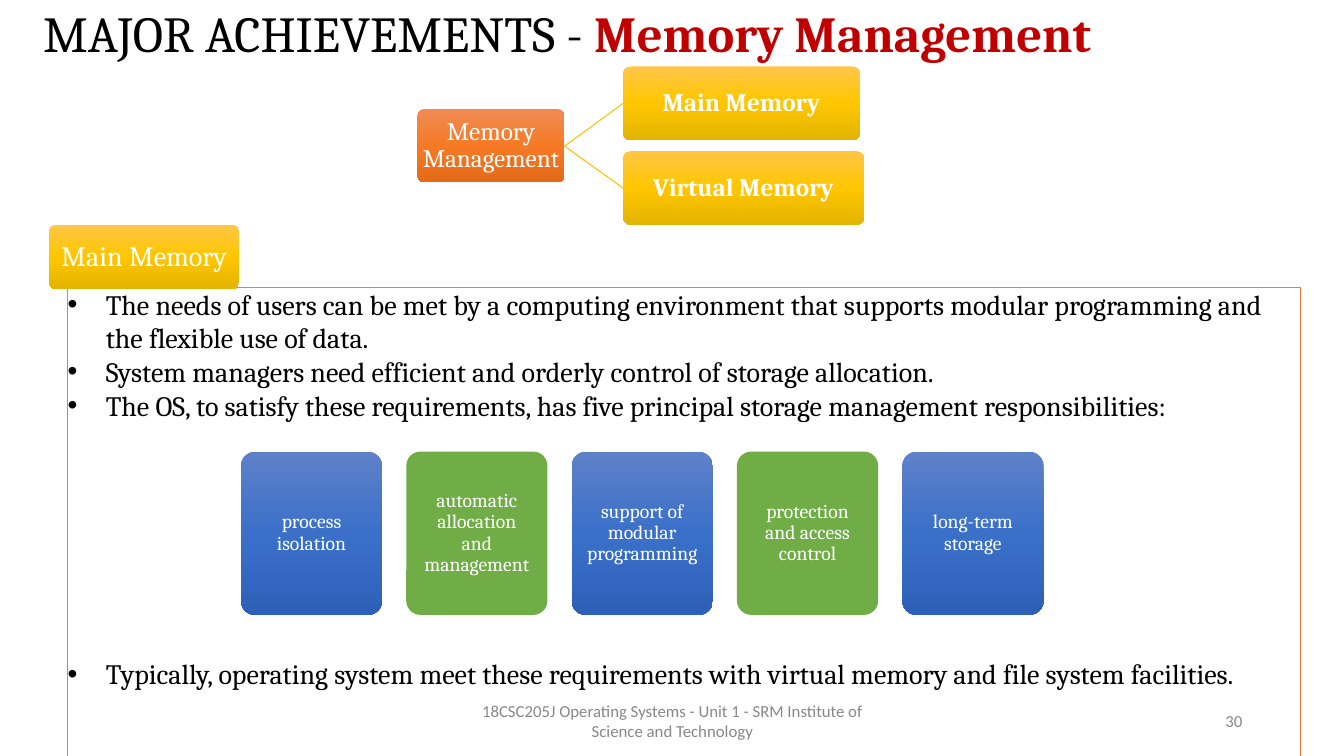
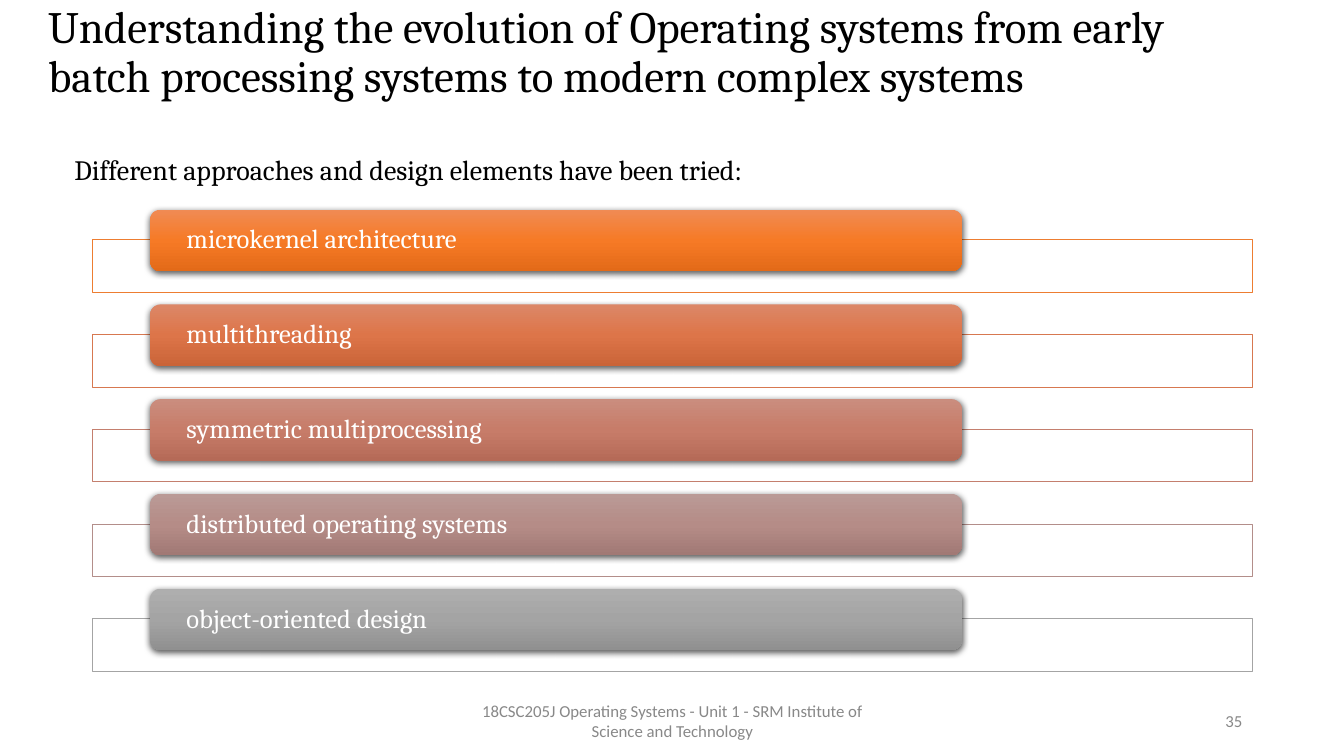
"""Builds two operating-systems slides: memory management and system evolution."""
from copy import deepcopy

from pptx import Presentation
from pptx.dml.color import RGBColor
from pptx.enum.shapes import MSO_CONNECTOR, MSO_SHAPE
from pptx.enum.text import MSO_ANCHOR as ANCHOR, PP_ALIGN as ALIGN
from pptx.oxml import parse_xml
from pptx.oxml.ns import nsdecls, qn
from pptx.util import Inches, Pt

COLORS = {"text": "000000", "white": "FFFFFF", "red": "C00000", "footer": "888888",
          "orange": "ED7D31", "gold": "FFC000", "green": "70AD47"}
GRADIENTS = {"orange": ("F08B54", "F67A26", "E36A18"),
             "gold": ("FFC647", "FFC600", "E3B400"),
             "blue": ("5E81C9", "3B70C9", "2E60B8")}
FOOTER = "18CSC205J Operating Systems - Unit 1 - SRM Institute of Science and Technology"
NEEDS = ["The needs of users can be met by a computing environment that supports "
         "modular programming and the flexible use of data.",
         "System managers need efficient and orderly control of storage allocation.",
         "The OS, to satisfy these requirements, has five principal storage "
         "management responsibilities:",
         "Typically, operating system meet these requirements with virtual memory "
         "and file system facilities."]
DUTIES = ["process isolation", "automatic allocation and management",
          "support of modular programming", "protection and access control",
          "long-term storage"]
APPROACHES = [("microkernel architecture", "ED7D31", GRADIENTS["orange"]),
              ("multithreading", "D77850", ("DC8767", "DD7549", "CA6438")),
              ("symmetric multiprocessing", "C47F6E", ("CA8D7E", "C77C69", "B56A57")),
              ("distributed operating systems", "B38E8A", ("BA9A96", "B58C87", "A17975")),
              ("object-oriented design", "A4A4A4", ("AEAEAE", "A4A4A4", "909090"))]


def rgb(color):
    """Turn a hex string into a colour."""
    return RGBColor.from_string(color)


def style_font(font, size, color, name="Cambria", bold=False):
    """Set the look of a font."""
    font.name, font.size, font.bold = name, Pt(size), bold
    font.color.rgb = rgb(color)


def set_frame(s, insets, anchor=ANCHOR.MIDDLE):
    """Wrap, anchor and inset the text frame of a shape."""
    tf = s.text_frame
    tf.word_wrap, tf.vertical_anchor = True, anchor
    tf.margin_left = tf.margin_right = Inches(insets[0])
    tf.margin_top = tf.margin_bottom = Inches(insets[1])
    return tf


def add_text(slide, box, runs, size, color=COLORS["text"], name="Cambria",
             align=ALIGN.LEFT, spacing=1.0, anchor=ANCHOR.MIDDLE):
    """Add a one-paragraph text box from (text, colour, bold) runs or a string."""
    s = slide.shapes.add_textbox(*map(Inches, box))
    p = set_frame(s, (0.1, 0.05), anchor).paragraphs[0]
    p.alignment, p.line_spacing = align, spacing
    for text, run_color, bold in [(runs, color, False)] if isinstance(runs, str) else runs:
        r = p.add_run()
        r.text = text
        style_font(r.font, size, run_color, name, bold)


def add_title(slide, box, runs, size):
    """Add the slide title."""
    add_text(slide, box, runs, size, spacing=0.9)


def add_footer(slide, number):
    """Add the course line and the slide number."""
    for left, width, text, align in ((4.42, 4.5, FOOTER, ALIGN.CENTER),
                                     (9.42, 3, str(number), ALIGN.RIGHT)):
        add_text(slide, (left, 6.95, width, 0.4), text, 12, COLORS["footer"],
                 "Calibri", align)


def add_frame(slide, box, line, width):
    """Add a white rectangle with a coloured outline."""
    s = slide.shapes.add_shape(MSO_SHAPE.RECTANGLE, *map(Inches, box))
    s.shadow.inherit = False
    s.fill.solid()
    s.fill.fore_color.rgb = rgb(COLORS["white"])
    s.line.color.rgb, s.line.width = rgb(line), Pt(width)
    return s


def fill_shape(s, fill):
    """Fill with one hex colour or a vertical gradient of three."""
    if isinstance(fill, str):
        s.fill.solid()
        s.fill.fore_color.rgb = rgb(fill)
        return
    s.fill.gradient()
    s.fill.gradient_angle = 270
    stops = s._element.spPr.find(".//" + qn("a:gsLst"))
    stops.append(deepcopy(stops[0]))
    for i, (stop, color) in enumerate(zip(s.fill.gradient_stops, fill)):
        stop.position = i / 2
        stop.color.rgb = rgb(color)


def add_card(slide, box, text, fill, size, bold=False, align=ALIGN.CENTER,
             insets=(0.02, 0.02), radius=0.1):
    """Add a filled rounded rectangle with white text."""
    s = slide.shapes.add_shape(MSO_SHAPE.ROUNDED_RECTANGLE, *map(Inches, box))
    s.adjustments[0] = radius
    s.shadow.inherit = False
    s.line.fill.background()
    fill_shape(s, fill)
    tf = set_frame(s, insets)
    tf.text = text
    p = tf.paragraphs[0]
    p.alignment, p.line_spacing = align, 0.9
    style_font(p.runs[0].font, size, COLORS["white"], bold=bold)
    return s


def add_drop_shadow(s):
    """Give a shape a soft shadow below it."""
    s._element.spPr.find(qn("a:effectLst")).append(parse_xml(
        f'<a:outerShdw {nsdecls("a")} blurRad="57150" dist="19050" dir="5400000" '
        'algn="ctr" rotWithShape="0"><a:srgbClr val="000000"><a:alpha val="63000"/>'
        '</a:srgbClr></a:outerShdw>'))


def add_branch(slide, start, end):
    """Add a thin gold line between two points."""
    s = slide.shapes.add_connector(MSO_CONNECTOR.STRAIGHT, *map(Inches, start + end))
    s.line.color.rgb, s.line.width = rgb(COLORS["gold"]), Pt(0.75)
    s._element.spPr.append(parse_xml(f'<a:effectLst {nsdecls("a")}/>'))


def add_bullets(s, texts):
    """Write bulleted paragraphs, leaving room for cards before the last."""
    tf = set_frame(s, (0, 0), ANCHOR.TOP)
    tf.text = "\n".join(texts)
    indent = Inches(0.38)
    for p in tf.paragraphs:
        pPr = p._p.get_or_add_pPr()
        pPr.set("marL", str(indent))
        pPr.set("indent", str(-indent))
        for xml in (f'<a:buClr {nsdecls("a")}><a:srgbClr val="{COLORS["text"]}"/></a:buClr>',
                    f'<a:buFont {nsdecls("a")} typeface="Arial"/>',
                    f'<a:buChar {nsdecls("a")} char="•"/>'):
            pPr.append(parse_xml(xml))
        p.alignment = ALIGN.LEFT
        style_font(p.runs[0].font, 20, COLORS["text"])
    tf.paragraphs[-1].space_before = Pt(168)


def build_memory(slide):
    """Build the memory management slide."""
    add_bullets(add_frame(slide, (0.67, 2.85, 12.23, 4.71), COLORS["orange"], 1), NEEDS)
    add_footer(slide, 30)
    add_title(slide, (0.33, 0.05, 11.5, 0.62),
              [("MAJOR ACHIEVEMENTS - ", COLORS["text"], False),
               ("Memory Management", COLORS["red"], True)], 36)
    add_card(slide, (4.14, 1.08, 1.46, 0.73), "Memory Management",
             GRADIENTS["orange"], 18)
    for text, top, width in (("Main Memory", 0.66, 2.35), ("Virtual Memory", 1.5, 2.39)):
        add_branch(slide, (5.6, 1.45), (6.18, top + 0.365))
        add_card(slide, (6.18, top, width, 0.73), text, GRADIENTS["gold"], 18, bold=True)
    for i, duty in enumerate(DUTIES):
        add_card(slide, (2.39 + 1.64 * i, 4.48, 1.4, 1.62), duty,
                 COLORS["green"] if i % 2 else GRADIENTS["blue"], 14, insets=(0.1, 0.1))
    add_card(slide, (0.49, 2.23, 1.88, 0.64), "Main Memory", GRADIENTS["gold"], 20)


def build_evolution(slide):
    """Build the evolution of operating systems slide."""
    add_title(slide, (0.38, 0.12, 11.5, 0.82),
              "Understanding the evolution of Operating systems from early batch "
              "processing systems to modern complex systems", 32)
    for i, (text, line, fill) in enumerate(APPROACHES):
        top = 2.08 + 0.94 * i
        add_frame(slide, (0.92, top + 0.3, 11.5, 0.52), line, 0.75)
        add_drop_shadow(add_card(slide, (1.49, top, 8.05, 0.61), text, fill, 19,
                                 align=ALIGN.LEFT, insets=(0.33, 0.03), radius=0.167))
    add_footer(slide, 35)
    add_text(slide, (0.64, 1.46, 7.56, 0.44),
             "Different approaches and design elements have been tried:", 20,
             anchor=ANCHOR.TOP)


def main():
    """Build and save the presentation."""
    prs = Presentation()
    prs.slide_width, prs.slide_height = Inches(13.33), Inches(7.5)
    for build in (build_memory, build_evolution):
        build(prs.slides.add_slide(prs.slide_layouts[6]))
    prs.save("out.pptx")


if __name__ == "__main__":
    main()
